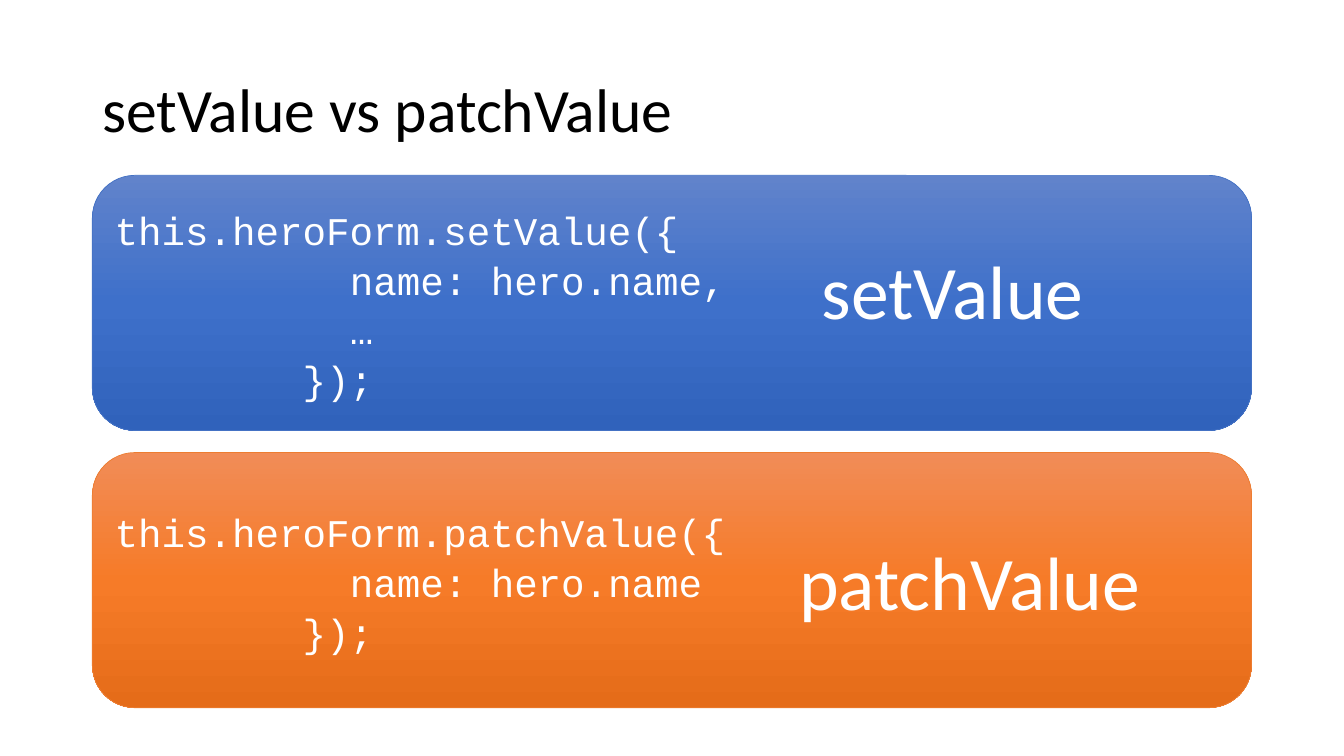
from copy import deepcopy

from pptx import Presentation
from pptx.dml.color import RGBColor
from pptx.enum.shapes import MSO_SHAPE
from pptx.enum.text import MSO_ANCHOR, PP_ALIGN
from pptx.oxml.ns import qn
from pptx.util import Emu, Pt

ROUNDED = MSO_SHAPE.ROUNDED_RECTANGLE
MIDDLE = MSO_ANCHOR.MIDDLE
LEFT, CENTER = PP_ALIGN.LEFT, PP_ALIGN.CENTER
PX = 9525
CHAR_W = 22.4


def rgb(value):
    return RGBColor.from_string(value)


def write(sp, lines, font, size, color, align, spacing=1.0):
    tf = sp.text_frame
    tf.word_wrap = True
    tf.vertical_anchor = MIDDLE
    tf.text = "\n".join(text for _, text in lines)
    for p, (indent, _) in zip(tf.paragraphs, lines):
        p.alignment = align
        p.line_spacing = spacing
        p._p.get_or_add_pPr().set("marL", str(round(indent * CHAR_W) * PX))
        r = p.runs[0]
        r.font.name = font
        r.font.size = Pt(size)
        r.font.color.rgb = rgb(color)


prs = Presentation()
prs.slide_width = Emu(1280 * PX)
prs.slide_height = Emu(720 * PX)
s = prs.slides.add_slide(prs.slide_layouts[6])
shapes = s.shapes

title = shapes.add_textbox(88 * PX, 38 * PX, 1104 * PX, 139 * PX)
write(title, [(0, "setValue vs patchValue")], "Calibri", 44, "000000", LEFT, 0.9)

panels = [
    ("setValue", 689, 227, "4472C4", ["6183CB", "3E70CA", "3062BB"],
     [(0, "this.heroForm.setValue({"), (10, "name: hero.name,"), (10, "…"), (8, "});")]),
    ("patchValue", 705, 504, "ED7D31", ["F18C57", "F67B28", "E56C19"],
     [(0, "this.heroForm.patchValue({"), (10, "name: hero.name"), (8, "});")]),
]

for i, (name, x, y, edge, colors, code) in enumerate(panels):
    sp = shapes.add_shape(ROUNDED, 88 * PX, (167 + 264 * i) * PX, 1104 * PX, 243 * PX)
    sp.shadow.inherit = False
    sp.line.color.rgb = rgb(edge)
    sp.line.width = Pt(0.5)
    sp.fill.gradient()
    sp.fill.gradient_angle = 270
    stops = sp._element.spPr.find(qn("a:gradFill")).find(qn("a:gsLst"))
    stops.append(deepcopy(stops[0]))
    for k, (stop, color) in enumerate(zip(sp.fill.gradient_stops, colors)):
        stop.position = k / 2
        stop.color.rgb = rgb(color)
    write(sp, code, "Courier New", 28, "FFFFFF", LEFT, 1.06)

    label = shapes.add_textbox(x * PX, y * PX, 437 * PX, 97 * PX)
    write(label, [(0, name)], "Calibri", 54, "FFFFFF", CENTER)

prs.save("out.pptx")
